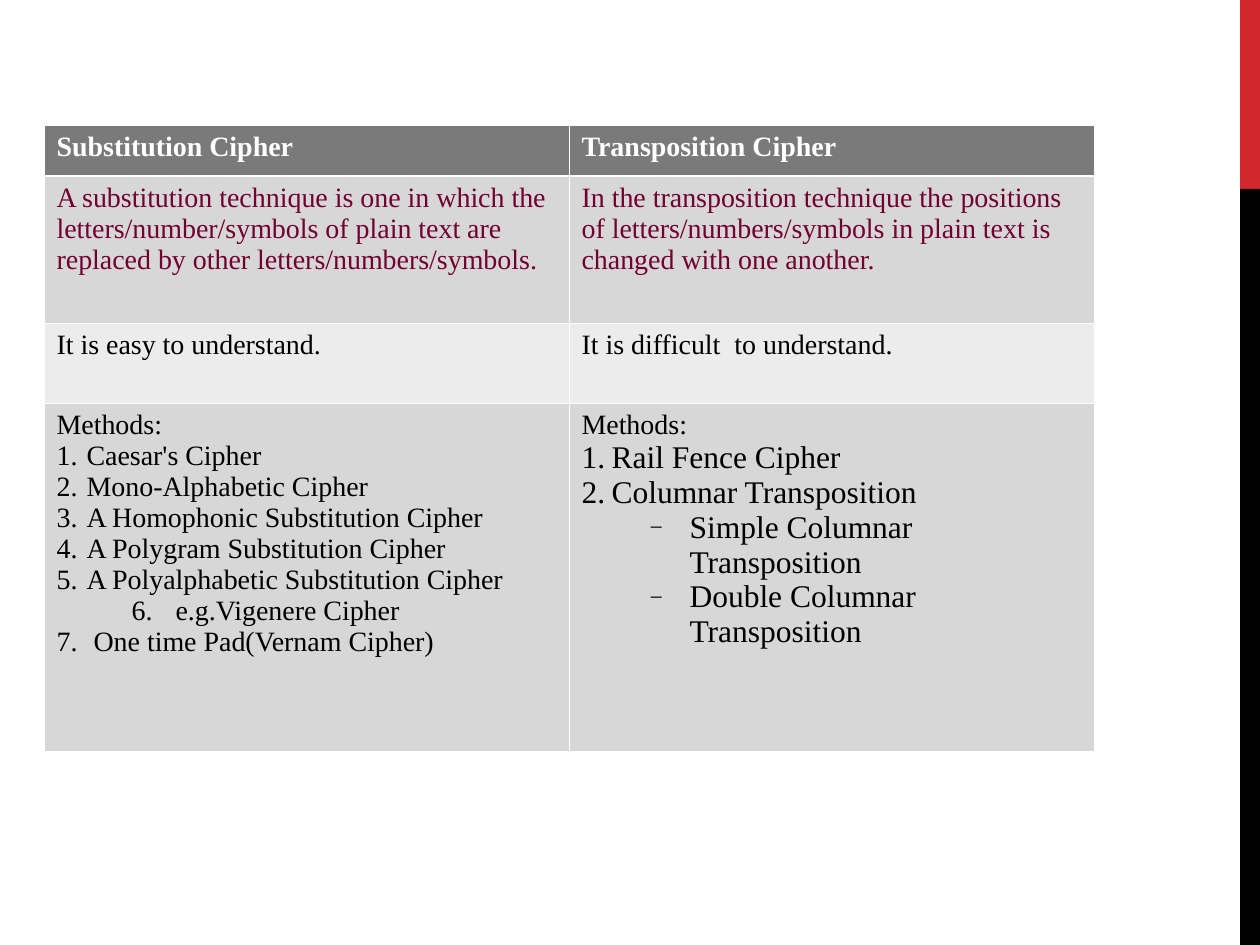
from lxml import etree
from pptx import Presentation, util as u
from pptx.dml.color import RGBColor
from pptx.enum import shapes
from pptx.oxml.ns import qn

EMU_PER_PX = 914400 / 126

# Paragraph kinds: (left margin px, hanging px, bullet tag, bullet attributes, bullet size)
NUMBER = ("buAutoNum", {"type": "arabicPeriod"}, None)
DASH = ("buChar", {"char": "−"}, "75000")
PLAIN = None
ITEM = (30, 30, *NUMBER)
SUB_ITEM = (119, 44, *NUMBER)
SUB_DASH = (108, 40, *DASH)


def px(length):
    return u.Emu(round(length * EMU_PER_PX))


def color(value):
    return RGBColor.from_string(value)


def add_solid_fill(parent, tag, value):
    fill = etree.SubElement(parent, qn(tag))
    etree.SubElement(fill, qn("a:srgbClr"), val=value)
    return fill


class SlideBuilder:
    font = "Times New Roman"
    thin, thick = 0.45, 1.47

    def __init__(self, presentation):
        self.slide = presentation.slides.add_slide(presentation.slide_layouts[6])

    def bar(self, left, top, width, height, fill):
        shape = self.slide.shapes.add_shape(
            shapes.MSO_SHAPE.RECTANGLE, px(left), px(top), px(width), px(height))
        shape.shadow.inherit = False
        shape.fill.solid()
        shape.fill.fore_color.rgb = color(fill)
        shape.line.fill.background()

    def table(self, left, top, column_widths, row_heights):
        frame = self.slide.shapes.add_table(
            len(row_heights), len(column_widths), px(left), px(top),
            px(sum(column_widths)), px(sum(row_heights)))
        for column, width in zip(frame.table.columns, column_widths):
            column.width = px(width)
        for row, height in zip(frame.table.rows, row_heights):
            row.height = px(height)
        return frame.table

    def cell(self, cell, paragraphs, fill, text_color, bold, top, bottom):
        """Fill one cell; paragraphs are (text, size, kind) and top, bottom are border points."""
        cell.fill.solid()
        cell.fill.fore_color.rgb = color(fill)
        self.borders(cell, {"lnL": self.thin, "lnR": self.thin, "lnT": top, "lnB": bottom})
        frame = cell.text_frame
        frame.text = "\n".join(words for words, _, _ in paragraphs)
        for paragraph, (_, size, kind) in zip(frame.paragraphs, paragraphs):
            if kind:
                self.bullet(paragraph, *kind)
            for run in paragraph.runs:
                run.font.name = self.font
                run.font.size = u.Pt(size)
                run.font.bold = bold
                run.font.color.rgb = color(text_color)

    def borders(self, cell, widths):
        properties = cell._tc.get_or_add_tcPr()
        for index, (tag, width) in enumerate(widths.items()):
            line = etree.Element(qn("a:" + tag), w=str(u.Pt(width)))
            add_solid_fill(line, "a:solidFill", "FFFFFF")
            properties.insert(index, line)

    def bullet(self, paragraph, margin, hanging, tag, attributes, size):
        properties = paragraph._p.get_or_add_pPr()
        properties.set("marL", str(px(margin)))
        properties.set("indent", str(-px(hanging)))
        add_solid_fill(properties, "a:buClr", "000000")
        if size:
            etree.SubElement(properties, qn("a:buSzPct"), val=size)
        etree.SubElement(properties, qn("a:buFont"), typeface=self.font)
        etree.SubElement(properties, qn("a:" + tag), attributes)


SUBSTITUTION_METHODS = [
    ("Methods:", 16, PLAIN),
    ("Caesar's Cipher", 16, ITEM),
    ("Mono-Alphabetic Cipher", 16, ITEM),
    ("A Homophonic Substitution Cipher", 16, ITEM),
    ("A Polygram Substitution Cipher", 16, ITEM),
    ("A Polyalphabetic Substitution Cipher", 16, ITEM),
    ("e.g.Vigenere Cipher", 16, SUB_ITEM),
    (" One time Pad(Vernam Cipher)", 16, ITEM),
]
TRANSPOSITION_METHODS = [
    ("Methods:", 16, PLAIN),
    ("Rail Fence Cipher", 18, ITEM),
    ("Columnar Transposition", 18, ITEM),
    ("Simple Columnar Transposition", 18, SUB_DASH),
    ("Double Columnar Transposition", 18, SUB_DASH),
]
# Each row: height, fill, text colour, cells
ROWS = [
    (51, "7A7A7A", "FFFFFF", [
        [("Substitution Cipher", 16, PLAIN)],
        [("Transposition Cipher", 16, PLAIN)]]),
    (147, "D7D7D7", "72002D", [
        [("A substitution technique is one in which the letters/number/symbols of plain text "
          "are replaced by other letters/numbers/symbols.", 16, PLAIN)],
        [("In the transposition technique the positions of letters/numbers/symbols in plain "
          "text is changed with one another.", 16, PLAIN)]]),
    (80, "ECECEC", "000000", [
        [("It is easy to understand.", 16, PLAIN)],
        [("It is difficult  to understand.", 16, PLAIN)]]),
    (348, "D7D7D7", "000000", [SUBSTITUTION_METHODS, TRANSPOSITION_METHODS]),
]


def main():
    presentation = Presentation()
    presentation.slide_width, presentation.slide_height = px(1260), px(945)
    builder = SlideBuilder(presentation)
    builder.bar(1240, 0, 20, 189, "D1282E")
    builder.bar(1240, 189, 20, 756, "000000")

    table = builder.table(44, 125, [525, 525], [row[0] for row in ROWS])
    for row_index, (_, fill, text_color, cells) in enumerate(ROWS):
        top = builder.thick if row_index == 1 else builder.thin
        bottom = builder.thick if row_index == 0 else builder.thin
        for column_index, paragraphs in enumerate(cells):
            builder.cell(table.cell(row_index, column_index), paragraphs, fill,
                         text_color, row_index == 0, top, bottom)
    presentation.save("out.pptx")


if __name__ == "__main__":
    main()
